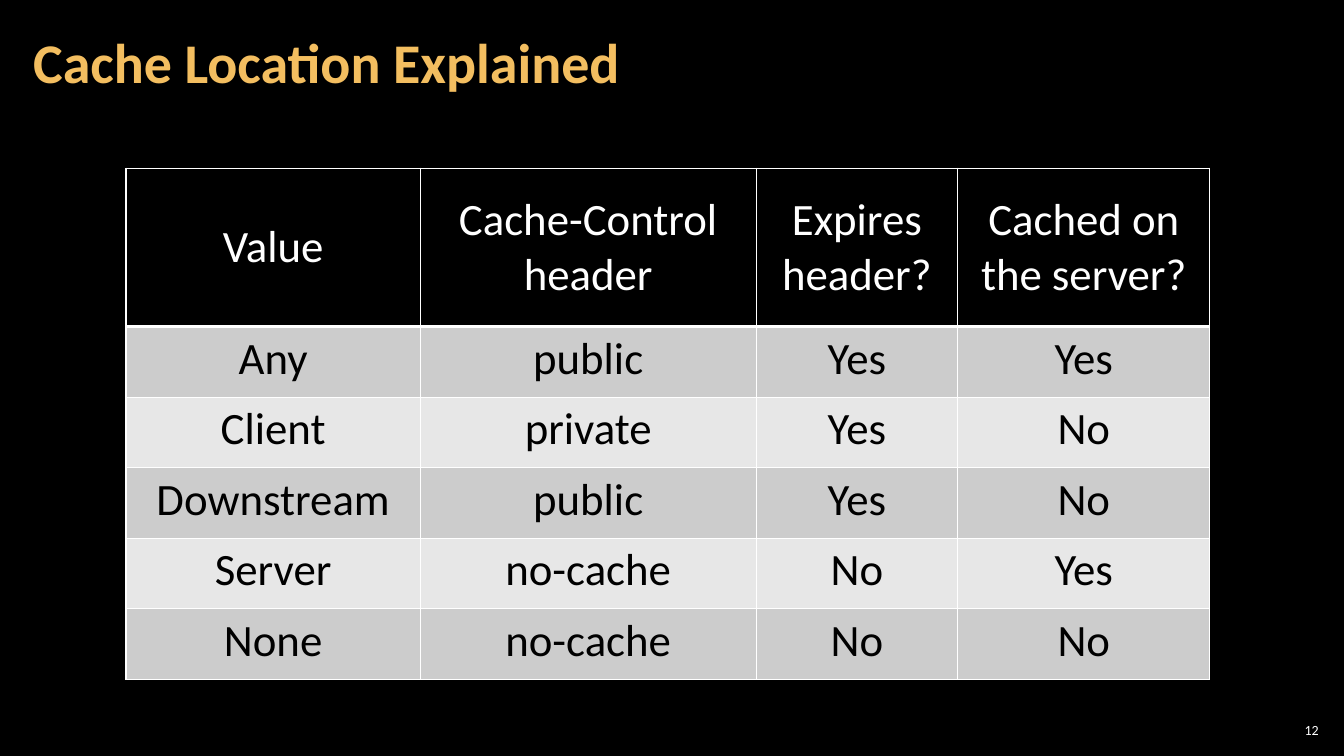
import pptx
import pptx.dml.color
import pptx.enum.text
import pptx.oxml
import pptx.oxml.ns
import pptx.util

Inches = pptx.util.Inches
Pt = pptx.util.Pt
ALIGN = pptx.enum.text.PP_ALIGN
ANCHOR = pptx.enum.text.MSO_ANCHOR

COLORS = {
    "black": "000000",
    "white": "FFFFFF",
    "gold": "F3BE60",
    "dark_band": "CCCCCC",
    "light_band": "E7E7E7",
}

COLUMN_WIDTHS = [2.92, 3.33, 2, 2.5]
ROW_HEIGHTS = [1.57] + [0.7] * 5
CACHE_ROWS = [
    ["Value", "Cache-Control header", "Expires header?", "Cached on the server?"],
    ["Any", "public", "Yes", "Yes"],
    ["Client", "private", "Yes", "No"],
    ["Downstream", "public", "Yes", "No"],
    ["Server", "no-cache", "No", "Yes"],
    ["None", "no-cache", "No", "No"],
]


class SlideBuilder:
    font = "Calibri"

    def __init__(self, slide):
        self.slide = slide

    def color(self, name):
        return pptx.dml.color.RGBColor.from_string(COLORS[name])

    def background(self, color):
        fill = self.slide.background.fill
        fill.solid()
        fill.fore_color.rgb = self.color(color)

    def add_text(self, paragraph, text, size, color, align, bold=False):
        paragraph.alignment = align
        run = paragraph.add_run()
        run.text = text
        run.font.name = self.font
        run.font.size = Pt(size)
        run.font.bold = bold
        run.font.color.rgb = self.color(color)

    def text_box(self, box, text, size, color, align=ALIGN.LEFT, bold=False,
                 side_margin=0.04, line_spacing=None):
        shape = self.slide.shapes.add_textbox(*[Inches(value) for value in box])
        frame = shape.text_frame
        frame.word_wrap = True
        frame.vertical_anchor = ANCHOR.MIDDLE
        frame.margin_left = frame.margin_right = Inches(side_margin)
        frame.margin_top = frame.margin_bottom = Inches(0.04)
        paragraph = frame.paragraphs[0]
        paragraph.line_spacing = line_spacing
        self.add_text(paragraph, text, size, color, align, bold)

    def borders(self, cell, bottom_width):
        properties = cell._tc.get_or_add_tcPr()
        widths = {"lnL": 1, "lnR": 1, "lnT": 1, "lnB": bottom_width}
        for position, (side, width) in enumerate(widths.items()):
            line = pptx.oxml.parse_xml(
                f'<a:{side} {pptx.oxml.ns.nsdecls("a")} w="{Pt(width)}">'
                f'<a:solidFill><a:srgbClr val="{COLORS["white"]}"/></a:solidFill>'
                f'</a:{side}>'
            )
            properties.insert(position, line)

    def table(self, left, top, widths, heights, rows):
        table = self.slide.shapes.add_table(
            len(rows), len(widths), Inches(left), Inches(top),
            Inches(sum(widths)), Inches(sum(heights)),
        ).table
        for column, width in zip(table.columns, widths):
            column.width = Inches(width)
        for row, height in zip(table.rows, heights):
            row.height = Inches(height)
        for row_index, values in enumerate(rows):
            header = row_index == 0
            band = "dark_band" if row_index % 2 else "light_band"
            for column_index, value in enumerate(values):
                cell = table.cell(row_index, column_index)
                cell.fill.solid()
                cell.fill.fore_color.rgb = self.color("black" if header else band)
                cell.vertical_anchor = ANCHOR.MIDDLE if header else ANCHOR.TOP
                self.add_text(cell.text_frame.paragraphs[0], value, 32,
                              "white" if header else "black", ALIGN.CENTER)
                self.borders(cell, 3 if header else 1)


def main():
    presentation = pptx.Presentation()
    presentation.slide_width = Inches(13.33)
    presentation.slide_height = Inches(7.5)
    builder = SlideBuilder(presentation.slides.add_slide(presentation.slide_layouts[6]))
    builder.background("black")
    builder.text_box((12.65, 7.14, 0.47, 0.21), "12", 10, "white", ALIGN.RIGHT)
    builder.text_box((0.21, 0.04, 10.47, 1.21), "Cache Location Explained", 40, "gold",
                     bold=True, side_margin=0.12, line_spacing=0.9)
    builder.table(1.25, 1.67, COLUMN_WIDTHS, ROW_HEIGHTS, CACHE_ROWS)
    presentation.save("out.pptx")


if __name__ == "__main__":
    main()
